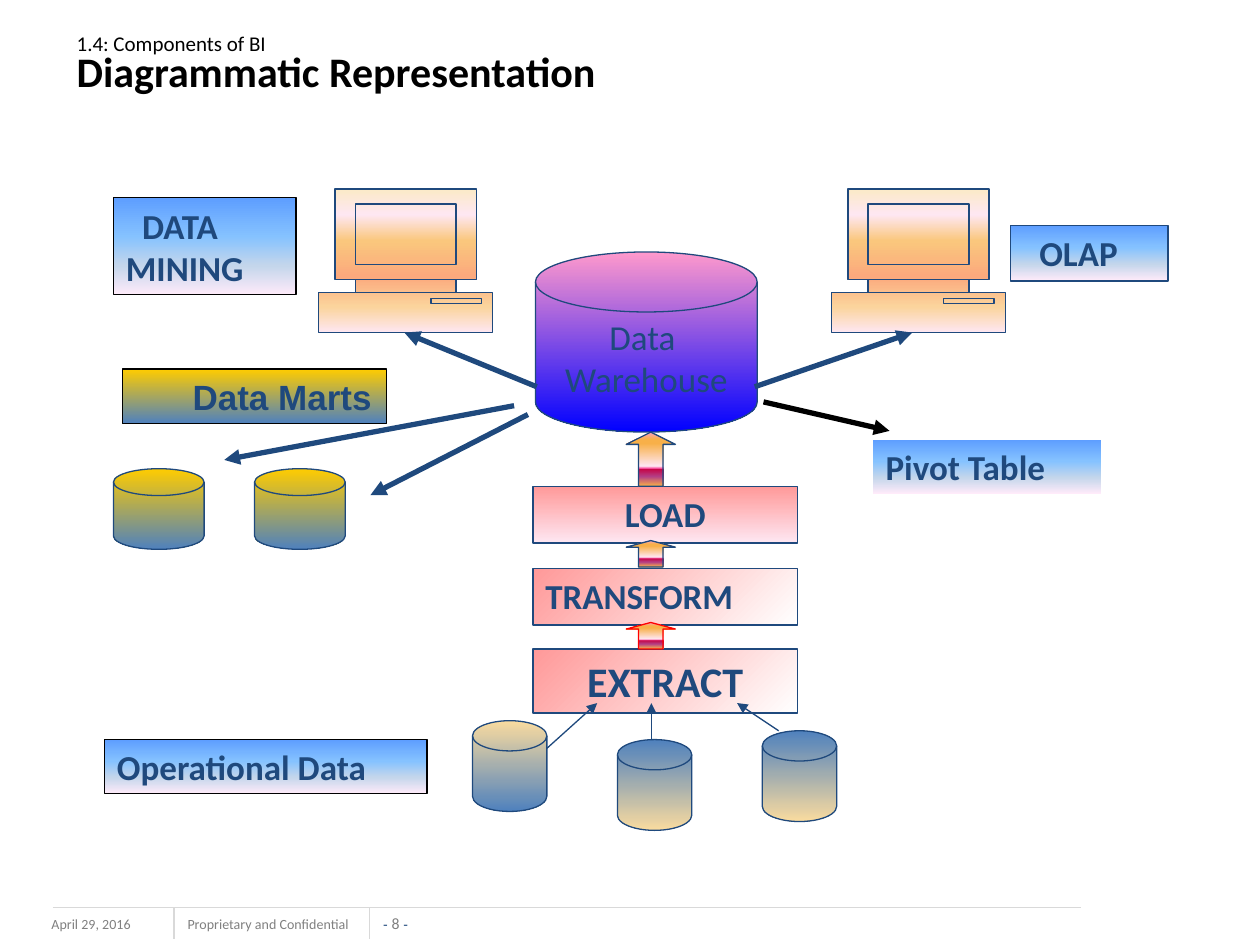
from lxml.etree import SubElement
from pptx import Presentation
from pptx.dml.color import RGBColor
from pptx.enum.shapes import MSO_CONNECTOR, MSO_SHAPE
from pptx.enum.text import MSO_ANCHOR, PP_ALIGN
from pptx.oxml.ns import qn
from pptx.util import Inches, Pt


class Theme:
    font, alternate_font = "Calibri", "Arial"
    navy, black, red, gray, rule = "1F497D", "000000", "FF0000", "808080", "D9D9D9"
    footer, number, kicker, label, title = 8, 9, 12, 20, 24
    thin, thick = 0.75, 3
    # Gradients: angle in degrees, then (position, colour) stops
    sky = 90, [(0, "5E9EFF"), (40, "85C2FF"), (70, "C4D6EB"), (100, "FFEBFA")]
    gold = 90, [(0, "FFCC00"), (100, "4F81BD")]
    rose = 90, [(0, "FF9999"), (100, "FEE7F2")]
    rose_diagonal = 45, [(0, "FF9999"), (100, "FFFFFF")]
    violet = 90, [(0, "FF99CC"), (100, "0000FF")]
    sand_to_blue = 90, [(0, "F9DB9F"), (100, "4F81BD")]
    blue_to_sand = 90, [(0, "4F81BD"), (100, "F9DB9F")]
    peach = 90, [(0, "FBEAC7"), (18, "FEE7F2"), (36, "FAC77D"),
                 (61, "FBA97D"), (82, "FBD49C"), (100, "FEE7F2")]
    flame = 90, [(0, "FC9FCB"), (13, "F8B049"), (21, "F8B049"), (63, "FEE7F2"),
                 (67, "F952A0"), (69, "C50849"), (82, "B43E85"), (100, "F8B049")]


# Content: disks as (left, top, width, height), gradient
DISKS = [
    ((4.25, 2, 1.76, 1.43), Theme.violet),
    ((3.75, 5.72, 0.59, 0.72), Theme.sand_to_blue),
    ((4.9, 5.87, 0.59, 0.72), Theme.blue_to_sand),
    ((6.05, 5.8, 0.59, 0.72), Theme.blue_to_sand),
    ((2.02, 3.72, 0.72, 0.64), Theme.gold),
    ((0.9, 3.72, 0.72, 0.64), Theme.gold),
]
WAREHOUSE = ["Data ", "Warehouse"]

# Label boxes: text, place, gradient, outline, first-line indent
LABELS = [
    ("OLAP", (8.02, 1.79, 1.25, 0.44), Theme.sky, Theme.navy, 0.13),
    ("DATA MINING", (0.9, 1.57, 1.45, 0.77), Theme.sky, Theme.black, 0.13),
    ("Operational Data", (0.83, 5.87, 2.56, 0.43), Theme.sky, Theme.black, 0),
    ("Data Marts", (0.97, 2.93, 2.1, 0.43), Theme.gold, Theme.black, 0.46),
    ("Pivot Table", (6.93, 3.49, 1.81, 0.43), Theme.sky, None, 0),
]

# Process steps: text, top, height, gradient, size, alignment
STEPS = [
    ("LOAD", 3.86, 0.45, Theme.rose, Theme.label, PP_ALIGN.CENTER),
    ("TRANSFORM", 4.51, 0.45, Theme.rose_diagonal, Theme.label, PP_ALIGN.LEFT),
    ("EXTRACT", 5.15, 0.51, Theme.rose_diagonal, Theme.title, PP_ALIGN.CENTER),
]
# Block arrows between steps: top, height, outline
STEP_ARROWS = [(4.94, 0.21, Theme.red), (4.29, 0.21, Theme.navy), (3.43, 0.43, Theme.navy)]

# Line arrows: from, to, colour, width
ARROWS = [
    ((5.99, 3.07), (7.24, 2.64), Theme.navy, Theme.thick),
    ((4.26, 3.07), (3.21, 2.64), Theme.navy, Theme.thick),
    ((4.08, 3.22), (1.78, 3.65), Theme.navy, Theme.thick),
    ((4.19, 3.29), (2.94, 3.93), Theme.navy, Theme.thick),
    ((6.06, 3.19), (7.06, 3.42), Theme.black, Theme.thick),
    ((4.34, 5.94), (4.74, 5.58), Theme.navy, Theme.thin),
    ((5.17, 5.87), (5.17, 5.58), Theme.navy, Theme.thin),
    ((6.18, 5.8), (5.85, 5.58), Theme.navy, Theme.thin),
]
RULES = [((0.42, 7.2), (8.58, 7.2)), ((1.38, 7.2), (1.38, 7.45)), ((2.93, 7.2), (2.93, 7.45))]

# Computers: corners relative to the top left
COMPUTERS = [(2.53, 1.5), (6.6, 1.5)]
CASE = [(1.09, 0.82), (1.09, 0.72), (1.25, 0.72), (1.25, 0), (0.13, 0), (0.13, 0.72),
        (0.29, 0.72), (0.29, 0.82), (0, 0.82), (0, 1.14), (1.38, 1.14), (1.38, 0.82)]
NECK_SCREEN_DRIVE = [(0.29, 0.72, 0.8, 0.1), (0.29, 0.12, 0.8, 0.48), (0.89, 0.87, 0.4, 0.04)]


def color(value):
    return RGBColor.from_string(value)


def style(shape, gradient, outline=Theme.navy):
    shape.shadow.inherit = False
    if gradient:
        angle, stops = gradient
        shape.fill.gradient()
        shape.fill.gradient_angle = 360 - angle
        stop_list = shape.element.spPr.find(qn("a:gradFill")).find(qn("a:gsLst"))
        for stop in list(stop_list):
            stop_list.remove(stop)
        for position, value in stops:
            stop = SubElement(stop_list, qn("a:gs"), pos=str(position * 1000))
            SubElement(stop, qn("a:srgbClr"), val=value)
    else:
        shape.fill.background()
    if outline:
        shape.line.color.rgb = color(outline)
        shape.line.width = Pt(Theme.thin)
    else:
        shape.line.fill.background()


def add_preset(kind, place, gradient, outline=Theme.navy):
    shape = page.shapes.add_shape(kind, *map(Inches, place))
    style(shape, gradient, outline)
    return shape


def set_font(font, size, value, name=Theme.font, bold=False):
    font.name, font.size, font.bold = name, Pt(size), bold
    font.color.rgb = color(value)


def add_label(text, place, gradient, outline, size=Theme.label,
              align=PP_ALIGN.LEFT, indent=0, name=Theme.font):
    frame = add_preset(MSO_SHAPE.RECTANGLE, place, gradient, outline).text_frame
    frame.word_wrap, frame.vertical_anchor = True, MSO_ANCHOR.TOP
    para = frame.paragraphs[0]
    para.text, para.alignment = text, align
    set_font(para.font, size, Theme.navy, name, bold=True)
    if indent:
        para._p.get_or_add_pPr().set("indent", str(Inches(indent)))


def add_line(start, end, value, width, arrow=False):
    line = page.shapes.add_connector(MSO_CONNECTOR.STRAIGHT, *map(Inches, start + end))
    line.line.color.rgb, line.line.width = color(value), Pt(width)
    if arrow:
        SubElement(line.line._get_or_add_ln(), qn("a:tailEnd"), type="triangle")
    SubElement(line.element.spPr, qn("a:effectLst"))


def add_outline(left, top, contours, gradient):
    paths = [[(Inches(left + x), Inches(top + y)) for x, y in points] for points in contours]
    builder = page.shapes.build_freeform(*paths[0][0])
    for number, points in enumerate(paths):
        if number:
            builder.move_to(*points[0])
        builder.add_line_segments(points[1:], close=True)
    style(builder.convert_to_shape(), gradient)


def add_text(place, spans, anchor=MSO_ANCHOR.TOP, wrap=True):
    frame = page.shapes.add_textbox(*map(Inches, place)).text_frame
    frame.word_wrap, frame.vertical_anchor = wrap, anchor
    para = frame.paragraphs[0]
    for text, size, value, name, bold in spans:
        span = para.add_run()
        span.text = text.rstrip("\n")
        set_font(span.font, size, value, name, bold)
        if text.endswith("\n"):
            para.add_line_break()
    return frame


deck = Presentation()
deck.slide_width, deck.slide_height = Inches(10), Inches(7.5)
page = deck.slides.add_slide(deck.slide_layouts[6])

# Footer
for text, place, wrap in [("April 29, 2016", (0.31, 7.22, 1.33, 0.25), True),
                          ("Proprietary and Confidential ", (1.39, 7.22, 1.57, 0.24), False)]:
    add_text(place, [(text, Theme.footer, Theme.gray, Theme.font, False)], wrap=wrap)
dash = (Theme.footer, Theme.navy, Theme.alternate_font, False)
page_number = add_text((3.01, 7.25, 0.26, 0.15), [
    ("- ", *dash), ("8 ", Theme.number, Theme.gray, Theme.font, False), ("-", *dash),
], MSO_ANCHOR.BOTTOM, wrap=False)
page_number.margin_left = page_number.margin_right = 0
page_number.margin_top = page_number.margin_bottom = 0
page_number.paragraphs[0].alignment = PP_ALIGN.CENTER
for start, end in RULES:
    add_line(start, end, Theme.rule, Theme.thin)

# Data stores
disks = [add_preset(MSO_SHAPE.FLOWCHART_MAGNETIC_DISK, *disk) for disk in DISKS]
warehouse = disks[0].text_frame
warehouse.word_wrap, warehouse.vertical_anchor = False, MSO_ANCHOR.MIDDLE
warehouse.text = "\n".join(WAREHOUSE)
for para in warehouse.paragraphs:
    para.alignment = PP_ALIGN.CENTER
    set_font(para.font, Theme.label, Theme.navy)

# Process steps and labels
for text, top, height, gradient, size, align in STEPS:
    add_label(text, (4.23, top, 2.1, height), gradient, Theme.navy, size, align)
for text, place, gradient, outline, indent in LABELS:
    name = Theme.alternate_font if text == "Data Marts" else Theme.font
    add_label(text, place, gradient, outline, indent=indent, name=name)

# Computers
for left, top in COMPUTERS:
    add_outline(left, top, [CASE], Theme.peach)
    add_outline(left, top, [[(x, y), (x + w, y), (x + w, y + h), (x, y + h)]
                            for x, y, w, h in NECK_SCREEN_DRIVE], None)

# Arrows
for top, height, outline in STEP_ARROWS:
    arrow = add_preset(MSO_SHAPE.UP_ARROW, (4.97, top, 0.39, height), Theme.flame, outline)
    arrow.adjustments[0], arrow.adjustments[1] = 0.5, 0.25
for start, end, value, width in ARROWS:
    add_line(start, end, value, width, arrow=True)

# Title
title = add_text((0.51, 0.13, 8.92, 0.78), [
    ("1.4: Components of BI \n", Theme.kicker, Theme.black, Theme.font, False),
    ("Diagrammatic Representation", Theme.title, Theme.black, Theme.font, True),
], MSO_ANCHOR.MIDDLE)
title.paragraphs[0].line_spacing = 0.8

deck.save("out.pptx")
